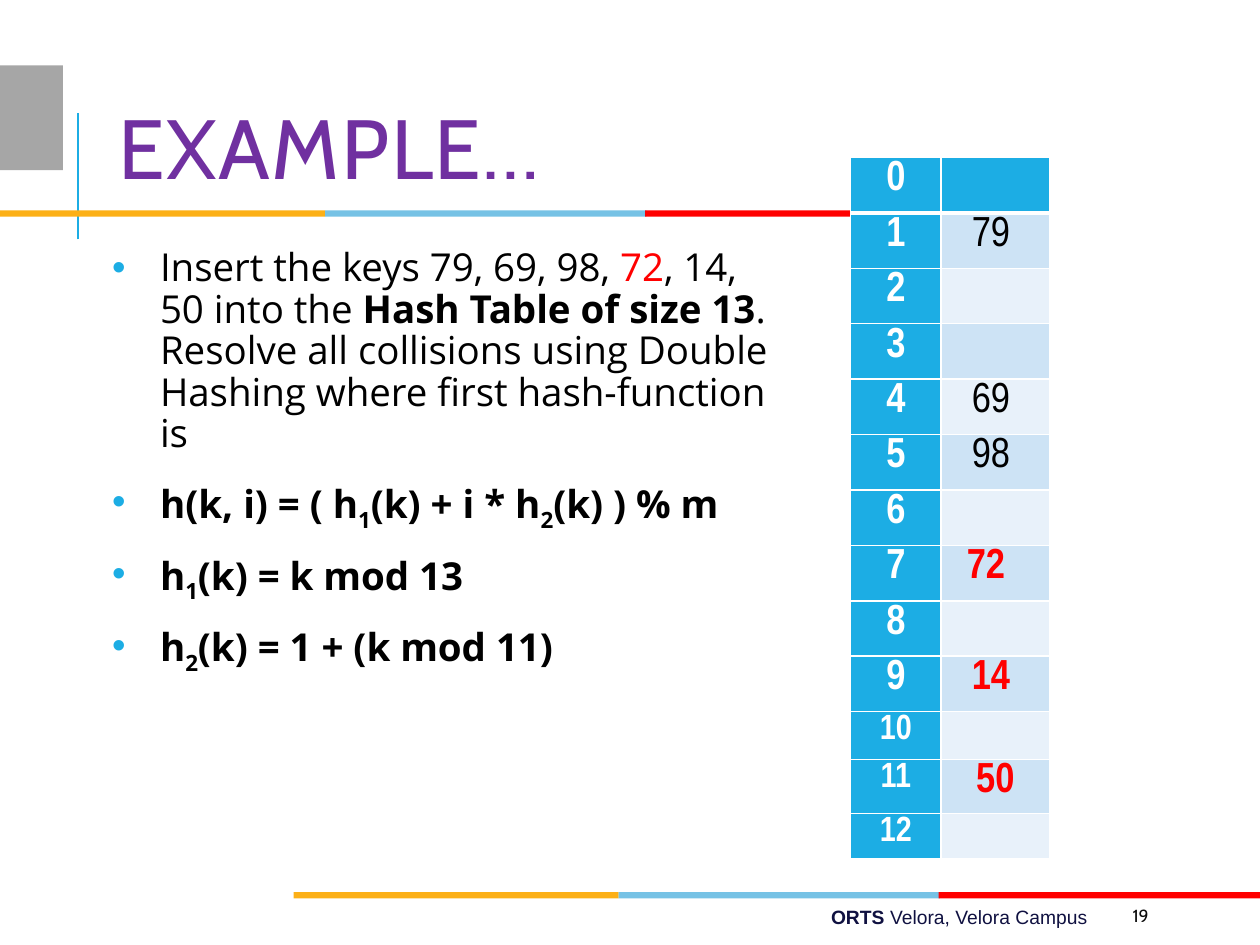
from dataclasses import dataclass

from lxml import etree
from pptx import Presentation, util as u
from pptx.dml.color import RGBColor
from pptx.enum import shapes, text
from pptx.oxml import ns


@dataclass(frozen=True)
class Theme:
    blue: str = "1CADE4"
    sky: str = "76C2E5"
    gold: str = "FCB017"
    red: str = "FF0000"
    gray: str = "A6A6A6"
    purple: str = "7030A0"
    navy: str = "101141"
    ink: str = "0D0D0D"
    black: str = "000000"
    white: str = "FFFFFF"
    bands: tuple = ("E8F1FA", "CDE3F5")
    head: str = "Cabin"
    body: str = "Open Sans"
    cell: str = "Arial Narrow"
    foot: str = "Arial"
    title_size: int = 48
    body_size: int = 22
    key_size: int = 24
    small_key: int = 20
    foot_size: int = 11
    page_size: int = 10


T = Theme()

POINTS = [
    [("Insert the keys 79, 69, 98, ", ""), ("72", "red"),
     (", 14, 50 into the ", ""), ("Hash Table of size 13", "bold"),
     (". Resolve all collisions using Double Hashing "
      "where first hash-function is", "")],
    [("h(k, i) = ( h", "bold"), ("1", "sub"), ("(k) + i * h", "bold"),
     ("2", "sub"), ("(k) ) % m", "bold")],
    [("h", "bold"), ("1", "sub"), ("(k) = k mod 13", "bold")],
    [("h", "bold"), ("2", "sub"), ("(k) = 1 + (k mod 11)", "bold")],
]

SLOTS = 13
PLAIN_KEYS = {1: "79", 4: "69", 5: "98"}
RED_KEYS = {7: "72", 9: "14", 11: "50"}
RIGHT_PAD = {7: 0.22, 11: 0.07}


def color(code):
    return RGBColor.from_string(code)


def node(parent, tag, **attrs):
    return etree.SubElement(parent, ns.qn(tag), attrs)


def place(shape, left, top, width, height):
    shape.left, shape.top = u.Inches(left), u.Inches(top)
    shape.width, shape.height = u.Inches(width), u.Inches(height)


def add_run(para, words, face, size, hue, bold=False):
    run = para.add_run()
    run.text = words
    font = run.font
    font.name, font.size, font.bold = face, u.Pt(size), bold
    font.color.rgb = color(hue)
    return run


def add_rect(slide, left, top, width, height, hue):
    rect = slide.shapes.add_shape(
        shapes.MSO_SHAPE.RECTANGLE, *map(u.Inches, (left, top, width, height)))
    rect.fill.solid()
    rect.fill.fore_color.rgb = color(hue)
    rect.line.fill.background()
    rect.shadow.inherit = False


def add_stripe(slide, left, top):
    for hue, start, width in ((T.gold, 0, 2.58), (T.sky, 2.58, 2.55),
                              (T.red, 5.12, 2.55)):
        width = min(width, 10 - left - start)
        add_rect(slide, left + start, top, width, 0.05, hue)


def add_rule(slide):
    rule = slide.shapes.add_connector(
        shapes.MSO_CONNECTOR.STRAIGHT,
        *map(u.Inches, (0.62, 1.9, 0.62, 0.9)))
    rule.line.color.rgb = color(T.blue)
    rule.line.width = u.Pt(1.5)
    node(rule._element.spPr, "a:effectLst")


def add_label(slide, box, align, runs):
    label = slide.shapes.add_textbox(*map(u.Inches, box))
    frame = label.text_frame
    frame.word_wrap = True
    frame.vertical_anchor = text.MSO_ANCHOR.MIDDLE
    para = frame.paragraphs[0]
    para.alignment = align
    for run in runs:
        add_run(para, *run)


def fill_title(slide):
    title = slide.shapes.title
    place(title, 0.84, 0.64, 7.97, 1.19)
    frame = title.text_frame
    frame.auto_size = text.MSO_AUTO_SIZE.NONE
    frame.vertical_anchor = text.MSO_ANCHOR.MIDDLE
    para = frame.paragraphs[0]
    para.alignment = text.PP_ALIGN.LEFT
    para.line_spacing = 0.8
    run = add_run(para, "EXAMPLE…", T.head, T.title_size, T.purple)
    run._r.get_or_add_rPr().set("spc", "100")


def set_bullet(para):
    props = para._p.get_or_add_pPr()
    indent = u.Inches(0.38)
    props.set("marL", str(indent))
    props.set("indent", str(-indent))
    node(node(props, "a:buClr"), "a:srgbClr", val=T.blue)
    node(props, "a:buFont", typeface=T.foot)
    node(props, "a:buChar", char="•")


def fill_body(slide):
    body = slide.placeholders[1]
    place(body, 0.84, 1.92, 5.33, 5.16)
    frame = body.text_frame
    frame.auto_size = text.MSO_AUTO_SIZE.NONE
    frame.vertical_anchor = text.MSO_ANCHOR.TOP
    frame.margin_left = frame.margin_right = u.Inches(0.05)
    frame.margin_top = frame.margin_bottom = u.Inches(0.05)
    for i, point in enumerate(POINTS):
        para = frame.add_paragraph() if i else frame.paragraphs[0]
        para.line_spacing = 0.9
        para.space_before, para.space_after = u.Pt(12), u.Pt(2)
        set_bullet(para)
        for words, style in point:
            hue = T.red if style == "red" else T.black
            run = add_run(para, words, T.body, T.body_size, hue,
                          style in ("bold", "sub"))
            if style == "sub":
                run._r.get_or_add_rPr().set("baseline", "-25000")


def set_cell(cell, hue, base):
    cell.margin_left = cell.margin_right = u.Inches(0.07)
    cell.margin_top = cell.margin_bottom = 0
    props = cell._tc.get_or_add_tcPr()
    for side, width in (("L", 1), ("R", 1), ("T", 1), ("B", base)):
        line = node(props, "a:ln" + side, w=str(u.Pt(width)))
        node(node(line, "a:solidFill"), "a:srgbClr", val=T.white)
    cell.fill.solid()
    cell.fill.fore_color.rgb = color(hue)


def write_cell(cell, words, size, hue, bold):
    para = cell.text_frame.paragraphs[0]
    para.alignment = text.PP_ALIGN.CENTER
    para.line_spacing = 1.07
    add_run(para, words, T.cell, size, hue, bold)


def add_slots(slide):
    frame = slide.shapes.add_table(
        SLOTS, 2, *map(u.Inches, (6.75, 1.25, 1.58, 5.52)))
    table = frame.table
    for col, width in zip(table.columns, (0.72, 0.86)):
        col.width = u.Inches(width)
    for i, row in enumerate(table.rows):
        row.height = u.Inches(0.44 if i < 10 else 0.38 if i < 12 else 0.36)
        slot, key = row.cells
        base = 1 if i else 3
        set_cell(slot, T.blue, base)
        set_cell(key, T.bands[i % 2] if i else T.blue, base)
        size = T.key_size if i < 10 else T.small_key
        write_cell(slot, str(i), size, T.white, True)
        if i in PLAIN_KEYS:
            write_cell(key, PLAIN_KEYS[i], T.key_size, T.black, False)
        elif i in RED_KEYS:
            write_cell(key, RED_KEYS[i], T.key_size, T.red, True)
        if i in PLAIN_KEYS or i in RED_KEYS:
            key.margin_right = u.Inches(RIGHT_PAD.get(i, 0.14))


def main():
    deck = Presentation()
    deck.slide_width, deck.slide_height = u.Inches(10), u.Inches(7.5)
    slide = deck.slides.add_slide(deck.slide_layouts[1])
    add_rule(slide)
    add_rect(slide, 0, 0.52, 0.5, 0.83, T.gray)
    add_stripe(slide, 2.33, 7.08)
    add_stripe(slide, 0, 1.67)
    add_label(slide, (2.31, 7.13, 6.42, 0.29), text.PP_ALIGN.RIGHT,
              [("ORTS ", T.foot, T.foot_size, T.navy, True),
               ("Velora, Velora Campus", T.foot, T.foot_size, T.navy)])
    add_label(slide, (8.89, 7.12, 0.8, 0.3), text.PP_ALIGN.LEFT,
              [("19", T.head, T.page_size, T.ink)])
    fill_title(slide)
    fill_body(slide)
    add_slots(slide)
    deck.save("out.pptx")


if __name__ == "__main__":
    main()
